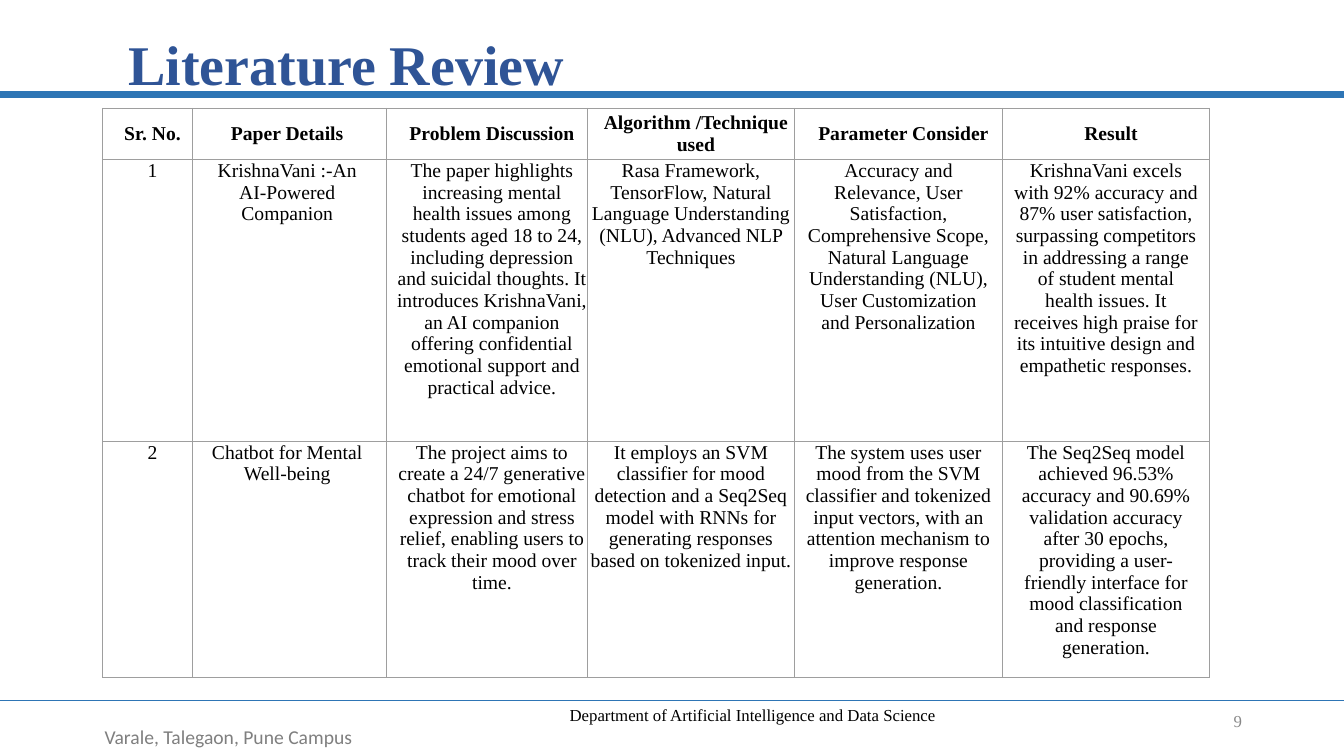
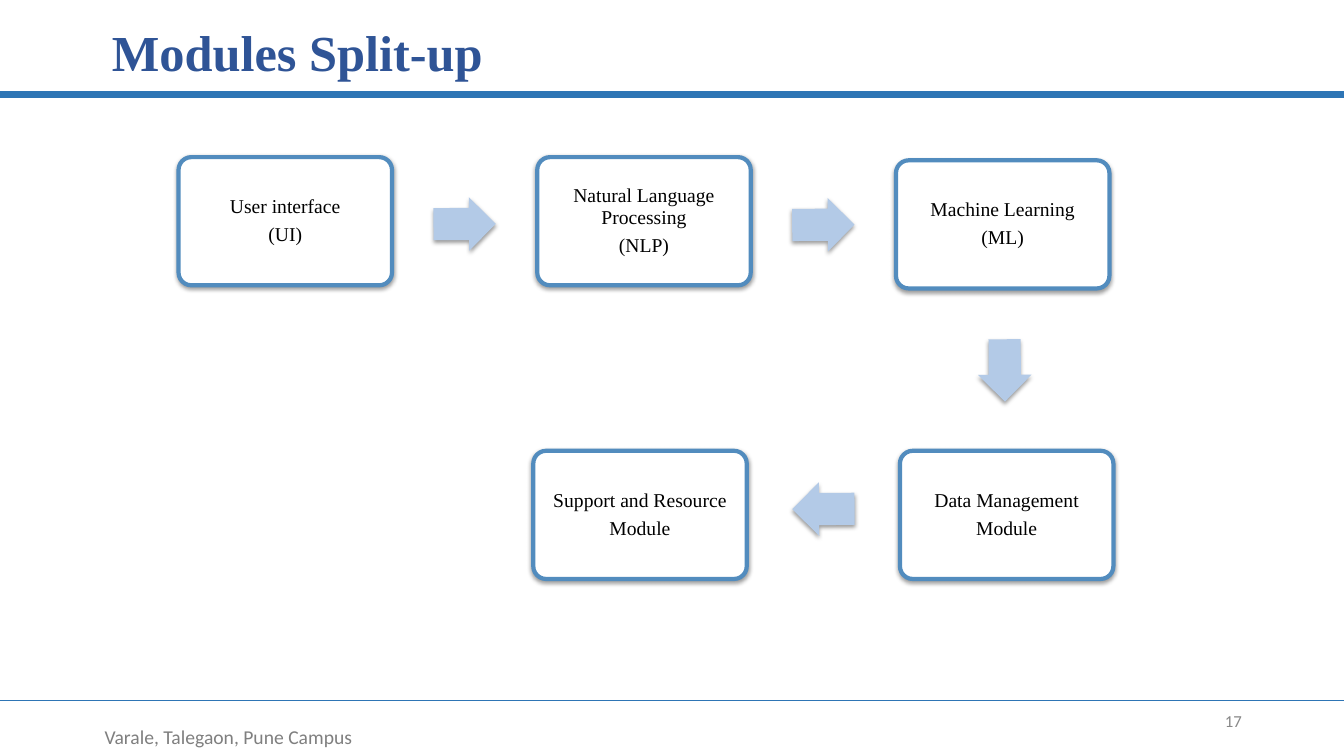
from math import atan2, degrees

from lxml import etree
from pptx import Presentation
from pptx.dml.color import RGBColor
from pptx.enum.shapes import MSO_CONNECTOR, MSO_SHAPE
from pptx.enum.text import MSO_ANCHOR, PP_ALIGN
from pptx.oxml import parse_xml
from pptx.oxml.ns import nsdecls, qn
from pptx.util import Cm, Pt

LEFT, MID, RIGHT = PP_ALIGN.LEFT, PP_ALIGN.CENTER, PP_ALIGN.RIGHT
TOP, HALF = MSO_ANCHOR.TOP, MSO_ANCHOR.MIDDLE
ROUND, ARROW = MSO_SHAPE.ROUNDED_RECTANGLE, MSO_SHAPE.RIGHT_ARROW
LINE = MSO_CONNECTOR.STRAIGHT

WIDE, HIGH = 33.87, 19.05
SERIF, SANS = "Times New Roman", "Calibri"
BLACK, WHITE, GRID = "000000", "FFFFFF", "9E9E9E"
NAVY, BLUE, EDGE, PALE = "2F5496", "2E75B5", "528CBE", "B3CAE7"
GRAY, DIM = "7F7F7F", "888888"

COLS = [2.26, 4.9, 5.05, 5.23, 5.23, 5.23]
ROWS = [1.3, 7.1, 5.46]
# Left and right cell margins of each column
HEAD_PADS = [(0.25, 0), (0.38, 0.5), (0.25, 0), (0.25, 0), (0.25, 0), (0.25, 0)]
BODY_PADS = [(0.25, 0), (0.38, 0.5), (0.25, 0), (0, 0), (0.25, 0.25), (0.28, 0.28)]
PAPERS = [
    ["Sr. No.", "Paper Details", "Problem Discussion",
     "Algorithm /Technique used", "Parameter Consider", "Result"],
    ["1", "KrishnaVani :-An AI-Powered Companion",
     "The paper highlights increasing mental health issues among students aged "
     "18 to 24, including depression and suicidal thoughts. It introduces "
     "KrishnaVani, an AI companion offering confidential emotional support and "
     "practical advice.",
     "Rasa Framework, TensorFlow, Natural Language Understanding (NLU), "
     "Advanced NLP Techniques",
     "Accuracy and Relevance, User Satisfaction, Comprehensive Scope, Natural "
     "Language Understanding (NLU), User Customization and Personalization",
     "KrishnaVani excels with 92% accuracy and 87% user satisfaction, "
     "surpassing competitors in addressing a range of student mental health "
     "issues. It receives high praise for its intuitive design and empathetic "
     "responses."],
    ["2", "Chatbot for Mental Well-being",
     "The project aims to create a 24/7 generative chatbot for emotional "
     "expression and stress relief, enabling users to track their mood over "
     "time.",
     "It employs an SVM classifier for mood detection and a Seq2Seq model with "
     "RNNs for generating responses based on tokenized input.",
     "The system uses user mood from the SVM classifier and tokenized input "
     "vectors, with an attention mechanism to improve response generation.",
     "The Seq2Seq model achieved 96.53% accuracy and 90.69% validation "
     "accuracy after 30 epochs, providing a user-friendly interface for mood "
     "classification and response generation."],
]

NODE_W, NODE_H = 5.38, 3.23
ARROW_W, ARROW_H = 1.57, 1.35
# Left and top within the flow, then the lines of text
NODES = [
    (0, 0, ["User interface", "(UI)"]),
    (9.04, 0, ["Natural Language Processing", "(NLP)"]),
    (18.08, 0.08, ["Machine Learning", "(ML)"]),
    (18.18, 7.4, ["Data Management", "Module"]),
    (8.94, 7.4, ["Support and Resource", "Module"]),
]
DROPS = [0.07, 0.05, 0.02, -0.15]


def rgb(code):
    return RGBColor.from_string(code)


def style(para, size, color, font=SERIF, bold=False, align=MID):
    para.alignment = align
    face = para.font
    face.name, face.size, face.bold = font, Pt(size), bold
    face.color.rgb = rgb(color)


def label(slide, text, box, size, color, anchor=TOP, **look):
    """Add a text box of one paragraph; box is left, top, width, height."""
    frame = slide.shapes.add_textbox(*map(Cm, box)).text_frame
    frame.word_wrap = True
    frame.vertical_anchor = anchor
    frame.text = text
    style(frame.paragraphs[0], size, color, **look)


def rule(slide, y, weight):
    line = slide.shapes.add_connector(LINE, 0, Cm(y), Cm(WIDE), Cm(y))
    line.line.color.rgb = rgb(BLUE)
    line.line.width = Pt(weight)
    etree.SubElement(line._element.spPr, qn("a:effectLst"))


def page(deck, number, font):
    """Add a blank slide with the shared rules and footer."""
    slide = deck.slides.add_slide(deck.slide_layouts[6])
    rule(slide, 17.65, 1.25)
    rule(slide, 2.38, 4.75)
    label(slide, "Varale, Talegaon, Pune Campus", (1.85, 18.14, 7.82, 0.86),
          14, GRAY, font=SANS)
    label(slide, number, (23.93, 17.65, 7.62, 1.02), 12, DIM, HALF,
          font=font, align=RIGHT)
    return slide


def title(slide, text, left, top, size):
    label(slide, text, (left, top, 25, 1.8), size, NAVY, bold=True, align=LEFT)


def border(cell):
    props = cell._tc.get_or_add_tcPr()
    for i, side in enumerate(("lnL", "lnR", "lnT", "lnB")):
        props.insert(i, parse_xml(
            f'<a:{side} {nsdecls("a")} w="9525"><a:solidFill>'
            f'<a:srgbClr val="{GRID}"/></a:solidFill></a:{side}>'))


def grid(slide, left, top):
    """Add the table of reviewed papers."""
    table = slide.shapes.add_table(
        len(ROWS), len(COLS), Cm(left), Cm(top),
        Cm(sum(COLS)), Cm(sum(ROWS))).table
    for col, width in zip(table.columns, COLS):
        col.width = Cm(width)
    for r, (height, texts) in enumerate(zip(ROWS, PAPERS)):
        table.rows[r].height = Cm(height)
        head = r == 0
        pads = HEAD_PADS if head else BODY_PADS
        for c, (text, (near, far)) in enumerate(zip(texts, pads)):
            cell = table.cell(r, c)
            cell.text = text
            cell.margin_left, cell.margin_right = Cm(near), Cm(far)
            cell.margin_top = cell.margin_bottom = 0
            cell.vertical_anchor = HALF if head else TOP
            cell.fill.solid()
            cell.fill.fore_color.rgb = rgb(WHITE)
            style(cell.text_frame.paragraphs[0], 14, BLACK, bold=head)
            border(cell)


def solid(slide, kind, box, fill, adjust):
    """Add a filled shape with a soft shadow below it."""
    shape = slide.shapes.add_shape(kind, *map(Cm, box))
    for i, value in enumerate(adjust):
        shape.adjustments[i] = value
    shape.fill.solid()
    shape.fill.fore_color.rgb = rgb(fill)
    shape.line.fill.background()
    shape.shadow.inherit = False
    glow = shape._element.spPr.find(qn("a:effectLst"))
    glow.append(parse_xml(
        f'<a:outerShdw {nsdecls("a")} blurRad="39370" dist="20320" '
        'dir="5400000" rotWithShape="0"><a:srgbClr val="000000">'
        '<a:alpha val="38000"/></a:srgbClr></a:outerShdw>'))
    return shape


def node(slide, left, top, lines):
    shape = solid(slide, ROUND, (left, top, NODE_W, NODE_H), WHITE, [0.1])
    shape.line.color.rgb = rgb(EDGE)
    shape.line.width = Pt(3)
    frame = shape.text_frame
    frame.word_wrap = True
    frame.vertical_anchor = HALF
    frame.margin_left = frame.margin_right = Cm(0.2)
    frame.text = "\n".join(lines)
    for i, para in enumerate(frame.paragraphs):
        style(para, 14, BLACK)
        para.line_spacing = 0.9
        if i:
            para.space_before = Pt(4.9)


def arrow(slide, start, end, drop):
    """Add an arrow halfway between two points, lowered by drop."""
    (x1, y1), (x2, y2) = start, end
    left = (x1 + x2 - ARROW_W) / 2
    top = (y1 + y2 - ARROW_H) / 2 + drop
    shape = solid(slide, ARROW, (left, top, ARROW_W, ARROW_H), PALE, [0.6, 0.5])
    shape.rotation = 90 * round(degrees(atan2(y2 - y1, x2 - x1)) / 90) - 0.4


def flow(slide, left, top):
    """Add the modules and the arrows that link them in turn."""
    mids = []
    for x, y, lines in NODES:
        node(slide, left + x, top + y, lines)
        mids.append((left + x + NODE_W / 2, top + y + NODE_H / 2))
    for start, end, drop in zip(mids, mids[1:], DROPS):
        arrow(slide, start, end, drop)


def review(deck):
    slide = page(deck, "9", SERIF)
    title(slide, "Literature Review", 2.99, 0.62, 40)
    grid(slide, 2.59, 2.73)
    label(slide, "Department of Artificial Intelligence and Data Science",
          (14.02, 17.63, 9.91, 0.76), 12, BLACK)


def modules(deck):
    slide = page(deck, "17", SANS)
    title(slide, "Modules Split-up", 2.57, 0.41, 36)
    flow(slide, 4.5, 3.96)


def main():
    deck = Presentation()
    deck.slide_width, deck.slide_height = Cm(WIDE), Cm(HIGH)
    review(deck)
    modules(deck)
    deck.save("out.pptx")


if __name__ == "__main__":
    main()
